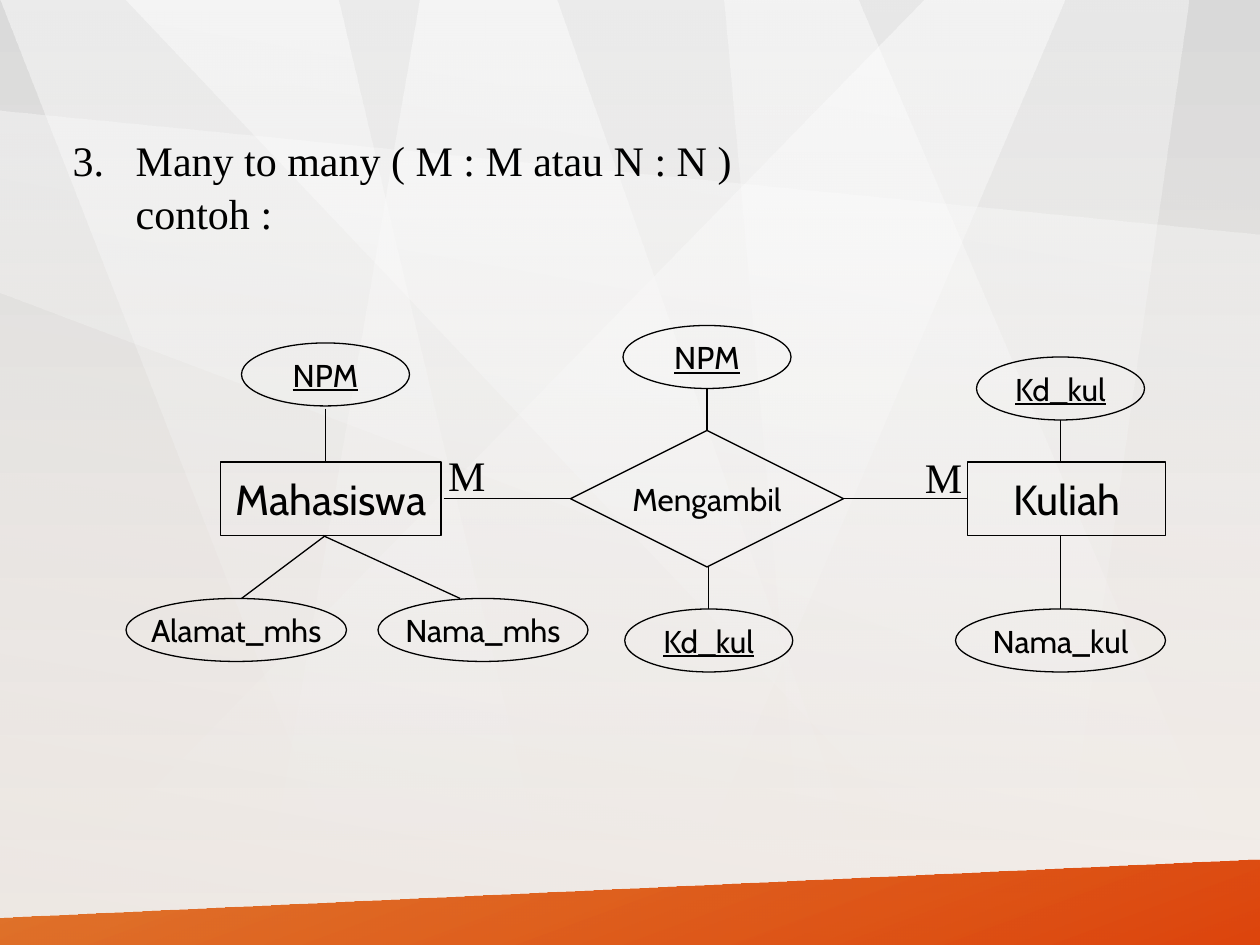
import pptx
import pptx.util
import pptx.dml.color
import pptx.enum.shapes
import pptx.enum.text
import pptx.oxml.ns
import lxml.etree

Pt = pptx.util.Pt
qn = pptx.oxml.ns.qn
SHAPE = pptx.enum.shapes.MSO_SHAPE
W, H = 720, 540


def rgb(hex_color):
    return pptx.dml.color.RGBColor.from_string(hex_color)


def sub(parent, tag, **attrs):
    return lxml.etree.SubElement(parent, qn(tag), **attrs)


def set_gradient(fill, holder, angle, stops):
    fill.gradient()
    grad = next(holder.iter(qn("a:gradFill")))
    gs_list = grad.find(qn("a:gsLst"))
    for gs in list(gs_list):
        gs_list.remove(gs)
    for pos, (color, alpha) in zip((0, 100000), stops):
        gs = sub(gs_list, "a:gs", pos=str(pos))
        clr = sub(gs, "a:srgbClr", val=color)
        sub(clr, "a:alpha", val=str(alpha * 1000))
    grad.find(qn("a:lin")).set("ang", str(angle * 60000))


def finish_panel(sp, angle, stops):
    sp.shadow.inherit = False
    sp.line.fill.background()
    set_gradient(sp.fill, sp._element, angle, stops)


def add_polygon(s, x, y, points, angle, stops):
    (x0, y0), *rest = [(x + px, y + py) for px, py in points]
    fb = s.shapes.build_freeform(x0, y0, scale=Pt(1))
    fb.add_line_segments(rest, close=True)
    finish_panel(fb.convert_to_shape(), angle, stops)


def add_backdrop(s, x, y, w, h):
    set_gradient(s.background.fill, s._element, 90, [("D9D9D9", 50), ("FCF5EF", 100)])
    beams = [
        (50, [(528.5, 0), (0, h), (378.5, h), (607.5, 0)]),
        (50, [(0, 0), (193, 0), (320.5, h), (211, h)]),
        (50, [(71.5, 0), (489.5, 0), (w, h), (584.5, h)]),
        (40, [(413.5, 0), (462, h), (602, h), (679, 0)]),
        (50, [(317.5, 0), (240.5, 0), (147, h), (507, h)]),
        (40, [(0, 63), (w, 134), (w, 439), (0, 167)]),
    ]
    for alpha, points in beams:
        add_polygon(s, x, y, points, 90, [("FFFFFF", alpha), ("FFFFFF", 0)])
    veil = s.shapes.add_shape(SHAPE.RECTANGLE, Pt(x), Pt(y), Pt(w), Pt(h))
    finish_panel(veil, 280, [("BFBFBF", 25), ("FFFFFF", 0)])
    band = [(0, 523.5), (w, 491), (w, h), (0, h)]
    add_polygon(s, x, y, band, 70, [("DD5900", 80), ("DC3C00", 95)])


def format_run(r, size, font, underline=False):
    r.font.size = Pt(size)
    r.font.name = font
    r.font.color.rgb = rgb("000000")
    if underline:
        r.font.underline = True


def add_text(s, x, y, w, h, lines):
    tf = s.shapes.add_textbox(Pt(x), Pt(y), Pt(w), Pt(h)).text_frame
    tf.word_wrap = False
    tf.text = "\n".join(lines)
    for p in tf.paragraphs:
        p.space_before = Pt(1.2)
        format_run(p.runs[0], 24, "Times New Roman")
    return tf


def add_heading(s, x, y, w, h):
    tf = add_text(s, x, y, w, h, ["Many to many ( M : M atau N : N )", "contoh :"])
    for p, indent in zip(tf.paragraphs, (-36, 0)):
        pPr = p._p.get_or_add_pPr()
        pPr.set("marL", str(Pt(36)))
        pPr.set("indent", str(Pt(indent)))
    sub(tf.paragraphs[0]._p.pPr, "a:buAutoNum", type="arabicPeriod", startAt="3")


def add_node(s, kind, x, y, w, h, text, size, underline=False):
    sp = s.shapes.add_shape(kind, Pt(x), Pt(y), Pt(w), Pt(h))
    sp.shadow.inherit = False
    sp.fill.background()
    sp.line.color.rgb = rgb("000000")
    sp.line.width = Pt(0.75)
    tf = sp.text_frame
    tf.word_wrap = False
    tf.vertical_anchor = pptx.enum.text.MSO_ANCHOR.MIDDLE
    tf.text = text
    p = tf.paragraphs[0]
    p.alignment = pptx.enum.text.PP_ALIGN.CENTER
    format_run(p.runs[0], size, "Cabin", underline)


def add_link(s, x1, y1, x2, y2):
    line = s.shapes.add_connector(
        pptx.enum.shapes.MSO_CONNECTOR.STRAIGHT, Pt(x1), Pt(y1), Pt(x2), Pt(y2))
    line.line.color.rgb = rgb("000000")
    line.line.width = Pt(0.75)
    sub(line._element.spPr, "a:effectLst")


def add_diagram(s, x, y):
    for left, width, name in [(54, 126, "Mahasiswa"), (481, 113, "Kuliah")]:
        add_node(s, SHAPE.RECTANGLE, x + left, y + 78, width, 42, name, 24)
    add_node(s, SHAPE.DIAMOND, x + 254, y + 60, 156, 78, "Mengambil", 18)
    attributes = [
        (66, 10, 96, "NPM", True),
        (284, 0, 96, "NPM", True),
        (0, 156, 126, "Alamat_mhs", False),
        (144, 156, 120, "Nama_mhs", False),
        (285, 162, 96, "Kd_kul", True),
        (486, 18, 96, "Kd_kul", True),
        (474, 162, 120, "Nama_kul", False),
    ]
    for left, top, width, name, is_key in attributes:
        add_node(s, SHAPE.OVAL, x + left, y + top, width, 36, name, 18, is_key)
    for left, top in [(177, 67.5), (449.5, 68.5)]:
        add_text(s, x + left, y + top, 36, 36, ["M"])
    links = [
        (181.5, 99, 253.5, 99), (409.5, 99, 481, 99),
        (114, 47.5, 114, 78), (332, 60, 332, 36),
        (114, 120, 66, 156), (112.5, 120, 191, 156),
        (333, 138, 333, 162),
        (534, 54, 534, 78), (534, 120, 534, 162),
    ]
    for x1, y1, x2, y2 in links:
        add_link(s, x + x1, y + y1, x + x2, y + y2)


def main():
    prs = pptx.Presentation()
    prs.slide_width, prs.slide_height = Pt(W), Pt(H)
    s = prs.slides.add_slide(prs.slide_layouts[6])
    add_backdrop(s, 0, 0, W, H)
    add_heading(s, 34.5, 73.5, 391, 93.5)
    add_diagram(s, 72, 186)
    prs.save("out.pptx")


if __name__ == "__main__":
    main()
